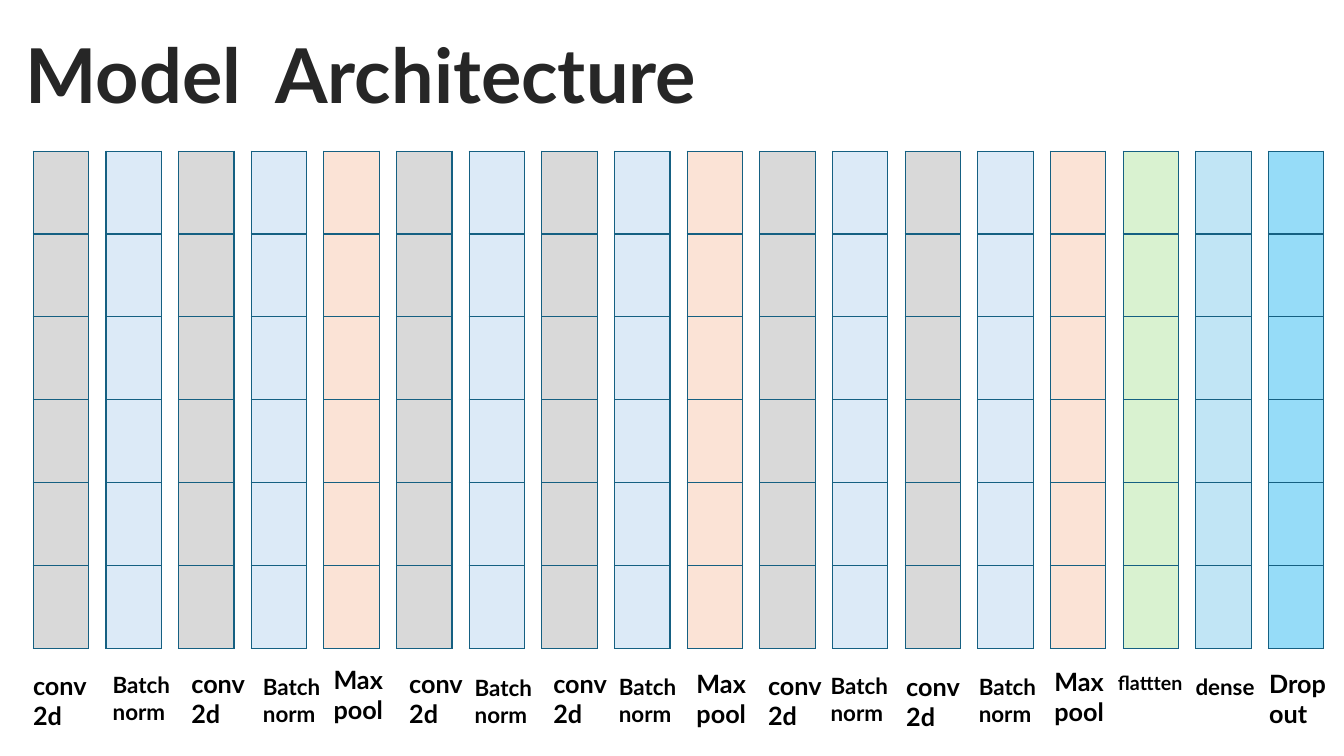
import dataclasses

import pptx
import pptx.dml.color
import pptx.enum.text
import pptx.oxml
import pptx.oxml.ns
import pptx.util

EMU_PER_PX = 9144
SLIDE_WIDTH, SLIDE_HEIGHT = 1333, 750
COLUMN_LEFT, COLUMN_TOP = 33, 150
COLUMN_WIDTH, COLUMN_HEIGHT = 55, 493
LAST_COLUMN_LEFT = 1258
CELLS_PER_COLUMN = 6


@dataclasses.dataclass(frozen=True)
class Theme:
    font: str = "Lato"
    title_color: str = "262626"
    label_color: str = "000000"
    border_color: str = "156082"
    border_width: float = 1
    title_size: int = 54
    large: int = 18
    medium: int = 16
    small: int = 14
    conv: str = "D9D9D9"
    norm: str = "DCEAF7"
    pool: str = "FBE3D6"
    flatten: str = "D9F2D0"
    dense: str = "C1E5F5"
    dropout: str = "96DCF8"


THEME = Theme()


@dataclasses.dataclass(frozen=True)
class LayerKind:
    label: str
    size: int
    fill: str
    label_height: int
    label_width: int = 83


CONV = LayerKind("conv2d", THEME.large, THEME.conv, 71)
NORM = LayerKind("Batch\nnorm", THEME.medium, THEME.norm, 64)
POOL = LayerKind("Max pool", THEME.large, THEME.pool, 71)
FLATTEN = LayerKind("flattten", THEME.small, THEME.flatten, 34, 90)
DENSE = LayerKind("dense", THEME.medium, THEME.dense, 37)
DROPOUT = LayerKind("Drop\nout", THEME.large, THEME.dropout, 71)

# Layer kind, then left and top of its label
LAYERS = [
    (CONV, 23, 660), (NORM, 102, 661), (CONV, 180, 658),
    (NORM, 251, 663), (POOL, 321, 654), (CONV, 396, 658),
    (NORM, 461, 664), (CONV, 539, 658), (NORM, 604, 663),
    (POOL, 681, 658), (CONV, 752, 660), (NORM, 814, 662),
    (CONV, 889, 661), (NORM, 961, 663), (POOL, 1036, 656),
    (FLATTEN, 1099, 661), (DENSE, 1176, 663), (DROPOUT, 1249, 658),
]


def px(length):
    return pptx.util.Emu(round(length * EMU_PER_PX))


def rgb(color):
    return pptx.dml.color.RGBColor.from_string(color)


def format_text(frame, size, color, alignment):
    for paragraph in frame.paragraphs:
        paragraph.alignment = alignment
        for run in paragraph.runs:
            run.font.name = THEME.font
            run.font.size = pptx.util.Pt(size)
            run.font.bold = True
            run.font.color.rgb = rgb(color)


def add_title(slide, text):
    title = slide.shapes.title
    title.left, title.top, title.width, title.height = map(px, (10, 23, 696, 101))
    frame = title.text_frame
    frame.text = text
    frame.word_wrap = False
    frame.auto_size = pptx.enum.text.MSO_AUTO_SIZE.SHAPE_TO_FIT_TEXT
    frame.vertical_anchor = pptx.enum.text.MSO_ANCHOR.TOP
    format_text(frame, THEME.title_size, THEME.title_color,
                pptx.enum.text.PP_ALIGN.CENTER)


def add_borders(cell):
    properties = cell._tc.get_or_add_tcPr()
    width = pptx.util.Pt(THEME.border_width)
    for side in ("lnL", "lnR", "lnT", "lnB"):
        properties.append(pptx.oxml.parse_xml(
            f'<a:{side} {pptx.oxml.ns.nsdecls("a")} w="{width}"><a:solidFill>'
            f'<a:srgbClr val="{THEME.border_color}"/></a:solidFill></a:{side}>'))


def add_layer_column(slide, left, fill):
    table = slide.shapes.add_table(
        CELLS_PER_COLUMN, 1, px(left), px(COLUMN_TOP),
        px(COLUMN_WIDTH), px(COLUMN_HEIGHT)).table
    table.first_row = False
    table.horz_banding = False
    for cell in table.iter_cells():
        add_borders(cell)
        cell.fill.solid()
        cell.fill.fore_color.rgb = rgb(fill)


def add_layer_label(slide, kind, left, top):
    label = slide.shapes.add_textbox(
        px(left), px(top), px(kind.label_width), px(kind.label_height))
    frame = label.text_frame
    frame.text = kind.label
    frame.word_wrap = True
    frame.auto_size = pptx.enum.text.MSO_AUTO_SIZE.SHAPE_TO_FIT_TEXT
    format_text(frame, kind.size, THEME.label_color,
                pptx.enum.text.PP_ALIGN.LEFT)


def main():
    presentation = pptx.Presentation()
    presentation.slide_width = px(SLIDE_WIDTH)
    presentation.slide_height = px(SLIDE_HEIGHT)
    title_only = presentation.slide_layouts.get_by_name("Title Only")
    slide = presentation.slides.add_slide(title_only)

    add_title(slide, "Model  Architecture")
    pitch = (LAST_COLUMN_LEFT - COLUMN_LEFT) / (len(LAYERS) - 1)
    for index, (kind, label_left, label_top) in enumerate(LAYERS):
        add_layer_column(slide, COLUMN_LEFT + index * pitch, kind.fill)
        add_layer_label(slide, kind, label_left, label_top)

    presentation.save("out.pptx")


if __name__ == "__main__":
    main()
